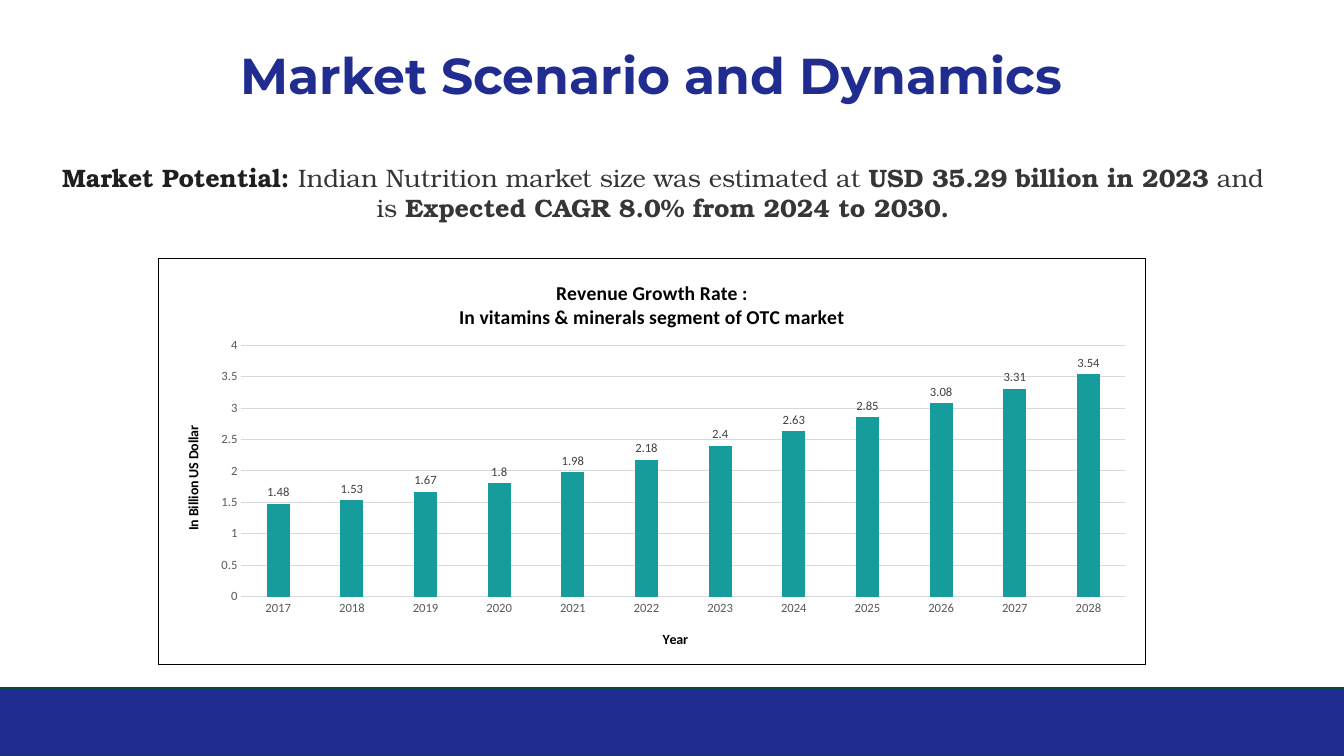
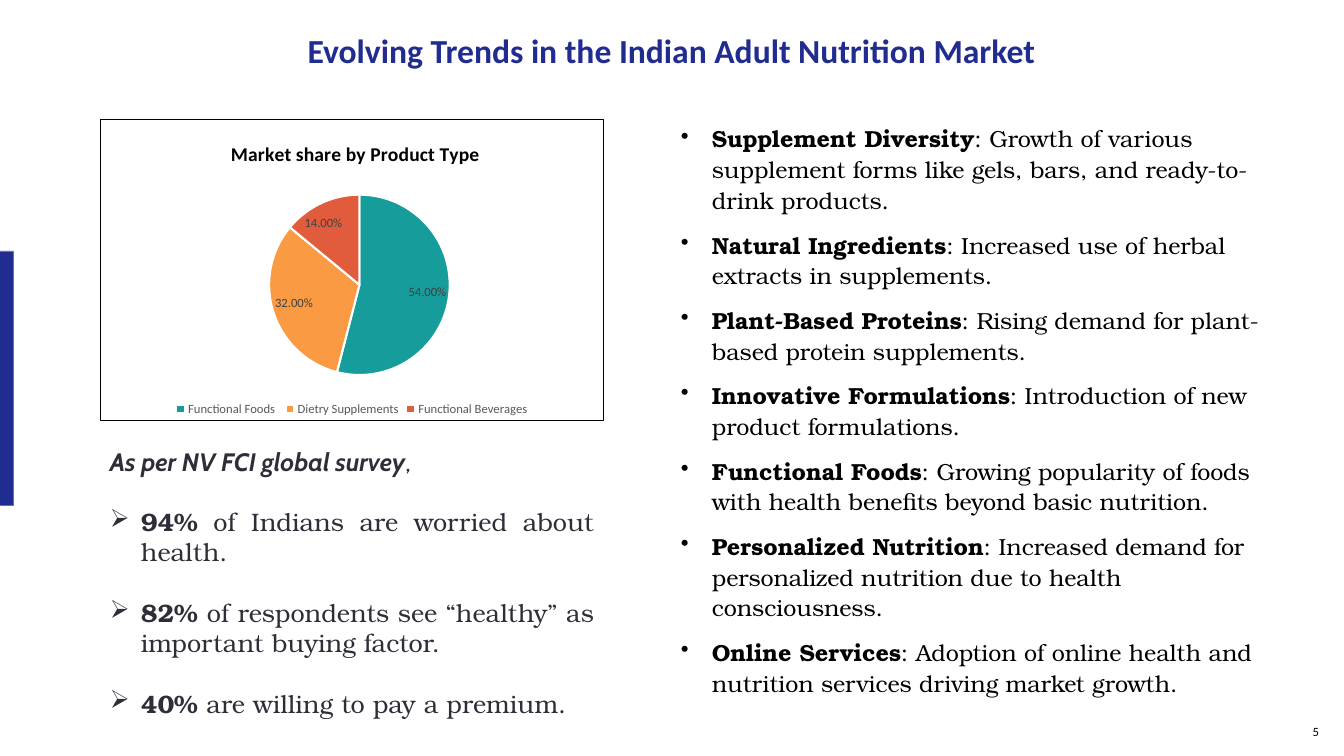
from lxml import etree
from pptx import Presentation
from pptx.chart.data import CategoryChartData
from pptx.dml.color import RGBColor
from pptx.enum.chart import XL_CHART_TYPE, XL_LABEL_POSITION, XL_LEGEND_POSITION, XL_TICK_MARK
from pptx.enum.shapes import MSO_SHAPE
from pptx.enum.text import MSO_ANCHOR, PP_ALIGN
from pptx.oxml import parse_xml
from pptx.oxml.ns import nsdecls, qn
from pptx.util import Emu, Pt

PX = 914400 / 100.8
PAGE_WIDTH, PAGE_HEIGHT = 1344, 756
TITLE_ONLY = 5
HANGING = 31

NAVY = RGBColor(0x20, 0x2C, 0x8F)
DARK_GREEN = RGBColor(0x0A, 0x44, 0x43)
GREEN = RGBColor(0x3D, 0x90, 0x72)
TEAL = RGBColor(0x16, 0x9C, 0x9A)
ORANGE = RGBColor(0xFA, 0x9A, 0x42)
RED = RGBColor(0xE1, 0x5C, 0x3D)
BLACK = RGBColor(0, 0, 0)
WHITE = RGBColor(255, 255, 255)
INK = RGBColor(0x1F, 0x1F, 0x1F)
CHARCOAL = RGBColor(0x36, 0x36, 0x36)
SLATE = RGBColor(0x2E, 0x2E, 0x38)
LABEL_GREY = RGBColor(0x40, 0x40, 0x40)
AXIS_GREY = RGBColor(0x59, 0x59, 0x59)
GRID_GREY = RGBColor(0xD9, 0xD9, 0xD9)

SANS, SERIF, DISPLAY, ACCENT = "Calibri", "TeX Gyre Bonum", "Montserrat", "Cabin"

CENTER, RIGHT, JUSTIFY, LEFT = PP_ALIGN.CENTER, PP_ALIGN.RIGHT, PP_ALIGN.JUSTIFY, PP_ALIGN.LEFT
TOP, MIDDLE = MSO_ANCHOR.TOP, MSO_ANCHOR.MIDDLE
RECTANGLE = MSO_SHAPE.RECTANGLE
COLUMN, PIE = XL_CHART_TYPE.COLUMN_CLUSTERED, XL_CHART_TYPE.PIE
OUTSIDE_END, BEST_FIT = XL_LABEL_POSITION.OUTSIDE_END, XL_LABEL_POSITION.BEST_FIT
LEGEND_BOTTOM = XL_LEGEND_POSITION.BOTTOM
NO_TICK = XL_TICK_MARK.NONE

REVENUE = {
    "2017": 1.48, "2018": 1.53, "2019": 1.67, "2020": 1.8,
    "2021": 1.98, "2022": 2.18, "2023": 2.4, "2024": 2.63,
    "2025": 2.85, "2026": 3.08, "2027": 3.31, "2028": 3.54,
}
SHARES = {"Functional Foods ": 0.54, "Dietry Supplements": 0.32, "Functional Beverages": 0.14}
TRENDS = [
    ("Supplement Diversity",
     ": Growth of various supplement forms like gels, bars, and ready-to-drink products."),
    ("Natural Ingredients", ": Increased use of herbal extracts in supplements."),
    ("Plant-Based Proteins", ": Rising demand for plant-based protein supplements."),
    ("Innovative Formulations", ": Introduction of new product formulations."),
    ("Functional Foods", ": Growing popularity of foods with health benefits beyond basic nutrition."),
    ("Personalized Nutrition",
     ": Increased demand for personalized nutrition due to health consciousness."),
    ("Online Services", ": Adoption of online health and nutrition services driving market growth."),
]
FINDINGS = [
    ("94%", " of Indians are worried about health."),
    ("82% ", "of respondents see “healthy” as important buying factor."),
    ("40% ", "are willing to pay a premium."),
]


def px(length):
    return Emu(round(length * PX))


def emu_box(box):
    return [px(length) for length in box]


def style_font(font, name, size, color, bold=False, italic=False):
    font.name, font.size, font.bold, font.italic = name, Pt(size), bold, italic
    font.color.rgb = color


def add_span(para, text, *style, **flags):
    span = para.add_run()
    span.text = text
    style_font(span.font, *style, **flags)


def add_text_box(page, box, anchor=TOP):
    frame = page.shapes.add_textbox(*emu_box(box)).text_frame
    frame.word_wrap = True
    frame.vertical_anchor = anchor
    return frame


def add_bullet(para, symbol):
    properties = para._p.get_or_add_pPr()
    properties.set("marL", str(px(HANGING)))
    properties.set("indent", str(-px(HANGING)))
    etree.SubElement(properties, qn("a:buChar")).set("char", symbol)


def add_bullet_item(para, symbol, lead, detail, size, color, align, before, spacing=1.0):
    para.alignment, para.space_before, para.line_spacing = align, Pt(before), spacing
    add_bullet(para, symbol)
    add_span(para, lead, SERIF, size, color, bold=True)
    add_span(para, detail, SERIF, size, color)


def add_page(deck, title, box, font_name, size):
    page = deck.slides.add_slide(deck.slide_layouts[TITLE_ONLY])
    holder = page.shapes.title
    holder.left, holder.top, holder.width, holder.height = emu_box(box)
    holder.text_frame.vertical_anchor = MIDDLE
    para = holder.text_frame.paragraphs[0]
    para.alignment, para.line_spacing = CENTER, 0.9
    add_span(para, title, font_name, size, NAVY, bold=True)
    return page


def add_band(page, box, line_color, line_width):
    band = page.shapes.add_shape(RECTANGLE, *emu_box(box))
    band.shadow.inherit = False
    band.fill.solid()
    band.fill.fore_color.rgb = NAVY
    band.line.color.rgb = line_color
    band.line.width = Pt(line_width)


def set_layout(element, index, chart_box, offsets, inner=False):
    for old in element.findall(qn("c:layout")):
        element.remove(old)
    layout = etree.Element(qn("c:layout"))
    manual = etree.SubElement(layout, qn("c:manualLayout"))
    if inner:
        etree.SubElement(manual, qn("c:layoutTarget")).set("val", "inner")
    for key in ("xMode", "yMode"):
        etree.SubElement(manual, qn("c:" + key)).set("val", "edge")
    for key, offset, whole in zip("xywh", offsets, chart_box[2:] * 2):
        etree.SubElement(manual, qn("c:" + key)).set("val", str(round(offset / whole, 4)))
    element.insert(index, layout)


def write_chart_title(title, lines, size, chart_box, offsets):
    frame = title.text_frame
    for number, line in enumerate(lines):
        para = frame.add_paragraph() if number else frame.paragraphs[0]
        add_span(para, line, SANS, size, BLACK, bold=True)
    set_layout(title.element, 1, chart_box, offsets)


def add_framed_chart(page, kind, values, box, plot_box, title_lines, title_at):
    data = CategoryChartData()
    data.categories = list(values)
    data.add_series("Series 1", list(values.values()))
    chart = page.shapes.add_chart(kind, *emu_box(box), data).chart
    style_font(chart.font, SANS, 10, BLACK)
    chart.has_legend = False
    chart.has_title = True
    write_chart_title(chart.chart_title, title_lines, 14, box, title_at)
    set_layout(chart.element.find(".//" + qn("c:plotArea")), 0, box, plot_box, inner=True)
    border = parse_xml(
        f'<c:spPr {nsdecls("c", "a")}><a:noFill/><a:ln w="9525"><a:solidFill>'
        f'<a:srgbClr val="{BLACK}"/></a:solidFill></a:ln></c:spPr>')
    chart.element.find(qn("c:chart")).addnext(border)
    return chart


def label_values(plot, position, number_format):
    plot.has_data_labels = True
    labels = plot.data_labels
    labels.show_value = True
    labels.show_percentage = False
    labels.position = position
    labels.number_format = number_format
    labels.number_format_is_linked = False
    style_font(labels.font, SANS, 9, LABEL_GREY)


def add_revenue_chart(page, box):
    chart = add_framed_chart(
        page, COLUMN, REVENUE, box, (83, 87, 885, 252),
        ["Revenue Growth Rate :", "In vitamins & minerals segment of OTC market"], (298, 18))
    plot = chart.plots[0]
    plot.vary_by_categories = False
    plot.gap_width, plot.overlap = 219, -27
    fill = plot.series[0].format.fill
    fill.solid()
    fill.fore_color.rgb = TEAL
    label_values(plot, OUTSIDE_END, "General")
    axes = ((chart.category_axis, "Year", (502, 370)),
            (chart.value_axis, "In Billion US Dollar", (23, 165)))
    for axis, title, title_at in axes:
        axis.major_tick_mark = axis.minor_tick_mark = NO_TICK
        style_font(axis.tick_labels.font, SANS, 9, AXIS_GREY)
        axis.has_title = True
        write_chart_title(axis.axis_title, [title], 10, box, title_at)
    chart.category_axis.format.line.color.rgb = GRID_GREY
    chart.category_axis.format.line.width = Pt(0.75)
    value_axis = chart.value_axis
    value_axis.axis_title.element.find(".//" + qn("a:bodyPr")).set("rot", "-5400000")
    value_axis.minimum_scale, value_axis.maximum_scale, value_axis.major_unit = 0, 4, 0.5
    value_axis.format.line.fill.background()
    value_axis.major_gridlines.format.line.color.rgb = GRID_GREY
    value_axis.major_gridlines.format.line.width = Pt(0.75)


def add_share_chart(page, box):
    chart = add_framed_chart(
        page, PIE, SHARES, box, (169, 75, 181, 182), ["Market share by Product Type"], (127, 17))
    plot = chart.plots[0]
    plot.vary_by_categories = True
    for number, color in enumerate((TEAL, ORANGE, RED)):
        slice_format = plot.series[0].points[number].format
        slice_format.fill.solid()
        slice_format.fill.fore_color.rgb = color
        slice_format.line.color.rgb = WHITE
        slice_format.line.width = Pt(1.5)
    label_values(plot, BEST_FIT, "0.00%")
    chart.has_legend = True
    chart.legend.position = LEGEND_BOTTOM
    chart.legend.include_in_layout = False
    style_font(chart.legend.font, SANS, 9, AXIS_GREY)


def add_market_potential(page, box):
    para = add_text_box(page, box).paragraphs[0]
    para.alignment = CENTER
    add_span(para, "Market Potential: ", SERIF, 18, INK, bold=True)
    for text, bold in (
        ("Indian Nutrition market size was estimated at ", False),
        ("USD 35.29 billion in 2023", True),
        (" and is ", False),
        ("Expected CAGR 8.0% from 2024 to 2030.", True),
    ):
        add_span(para, text, SERIF, 18, CHARCOAL, bold=bold)


def add_trend_list(page, box):
    frame = add_text_box(page, box)
    for number, (lead, detail) in enumerate(TRENDS):
        para = frame.add_paragraph() if number else frame.paragraphs[0]
        add_bullet_item(para, "•", lead, detail, 16.6, BLACK, LEFT, 10, 1.1)


def add_survey(page, box):
    frame = add_text_box(page, box)
    heading = frame.paragraphs[0]
    heading.alignment = JUSTIFY
    add_span(heading, "As per NV FCI global survey", ACCENT, 18, SLATE, bold=True, italic=True)
    add_span(heading, ",", ACCENT, 18, SLATE)
    for lead, detail in FINDINGS:
        add_bullet_item(frame.add_paragraph(), "➢", lead, detail, 18, SLATE, JUSTIFY, 21.6)


def add_page_number(page, box, number):
    para = add_text_box(page, box, MIDDLE).paragraphs[0]
    para.alignment, para.space_after = RIGHT, Pt(6)
    add_span(para, number, SANS, 9, BLACK)


def build_market_page(deck):
    page = add_page(deck, "Market Scenario and Dynamics", (52, 42, 1199, 72), DISPLAY, 36)
    add_band(page, (-2, 688, 1347, 68), DARK_GREEN, 1)
    add_revenue_chart(page, (158, 258, 988, 407))
    add_market_potential(page, (43, 157, 1240, 102))


def build_trends_page(deck):
    page = add_page(deck, "Evolving Trends in the Indian Adult Nutrition Market",
                    (57, 25, 1229, 56), SANS, 24)
    add_trend_list(page, (671, 117, 612, 635))
    add_page_number(page, (1282, 712, 47, 40), "5")
    add_band(page, (-1, 251, 14, 254), GREEN, 0.5)
    add_share_chart(page, (100, 119, 504, 302))
    add_survey(page, (100, 441, 504, 315))


def main():
    deck = Presentation()
    deck.slide_width, deck.slide_height = px(PAGE_WIDTH), px(PAGE_HEIGHT)
    build_market_page(deck)
    build_trends_page(deck)
    deck.save("out.pptx")


if __name__ == "__main__":
    main()
